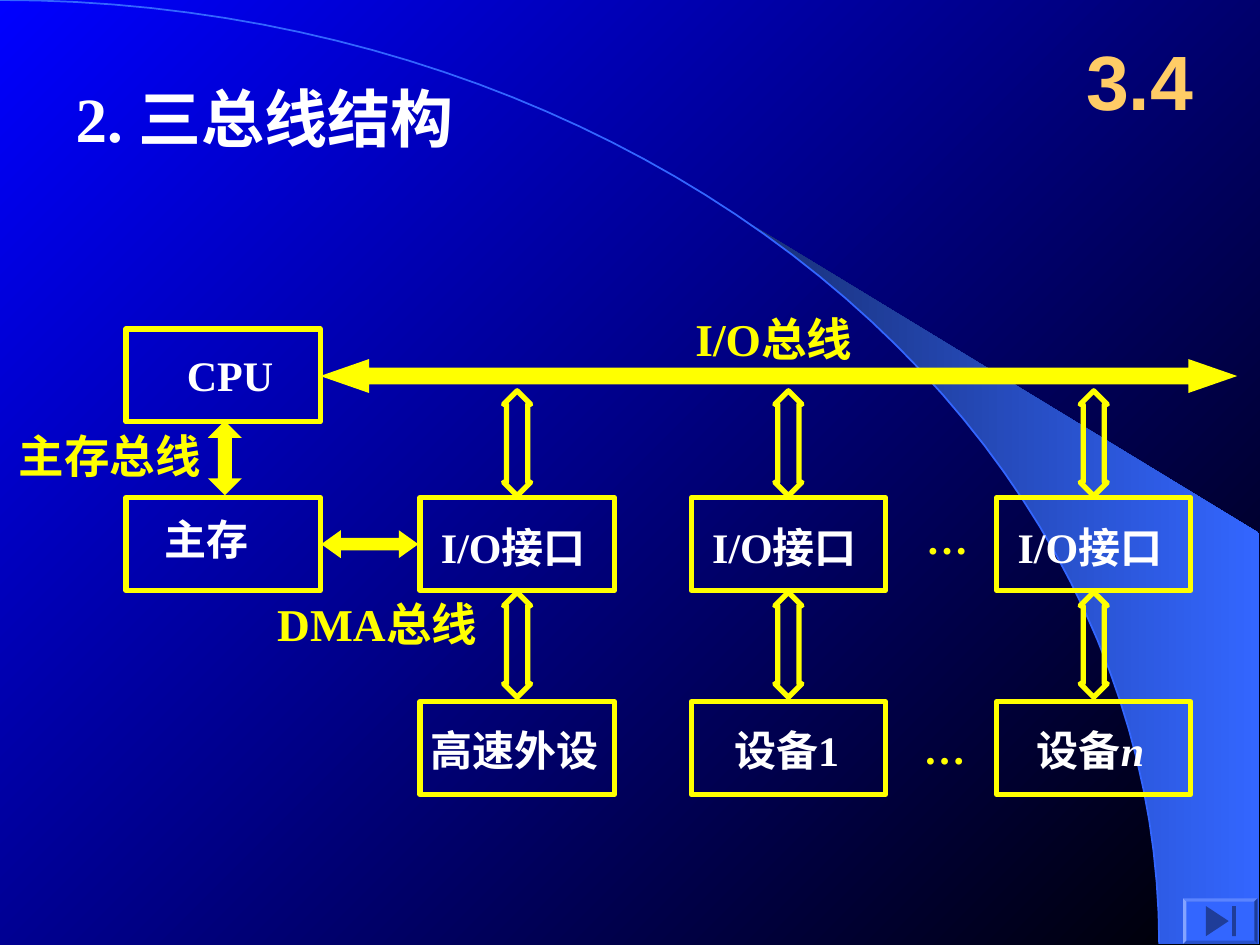
from math import asin, cos, pi, sin

from lxml.etree import SubElement
from pptx import Presentation
from pptx.dml.color import RGBColor
from pptx.enum.shapes import MSO_SHAPE
from pptx.enum.text import MSO_ANCHOR, MSO_AUTO_SIZE, PP_ALIGN
from pptx.oxml.ns import qn
from pptx.util import Pt

YELLOW, WHITE, GOLD = "FFFF00", "FFFFFF", "FFCC66"
BLUE, DARK_BLUE = "3366FF", "1F3D99"
LATIN, CHINESE = "Times New Roman", "Noto Sans CJK SC"
NODE_WIDTH, NODE_HEIGHT = 111, 53
ARC_WIDTH, ARC_HEIGHT = 662.4, 539.3


def rgb(color):
    return RGBColor.from_string(color)


def style(shape, fill=None, line=None, width=3):
    shape.shadow.inherit = False
    if fill:
        shape.fill.solid()
        shape.fill.fore_color.rgb = rgb(fill)
    else:
        shape.fill.background()
    if line:
        shape.line.color.rgb = rgb(line)
        shape.line.width = Pt(width)
    else:
        shape.line.fill.background()
    return shape


def write(shape, *texts, size=24, color=WHITE, font=LATIN, inset=(0, 0),
          align=PP_ALIGN.LEFT, anchor=MSO_ANCHOR.TOP, last_italic=False):
    """Fill a shape with one bold paragraph, one run for each text."""
    frame = shape.text_frame
    frame.word_wrap, frame.auto_size = True, MSO_AUTO_SIZE.NONE
    frame.vertical_anchor = anchor
    frame.margin_left, frame.margin_top = Pt(inset[0]), Pt(inset[1])
    frame.margin_right = frame.margin_bottom = 0
    paragraph = frame.paragraphs[0]
    paragraph.alignment = align
    for text in texts:
        run = paragraph.add_run()
        run.text = text
        run.font.size, run.font.bold, run.font.name = Pt(size), True, font
        run.font.color.rgb = rgb(color)
        SubElement(run.font._element, qn("a:ea"), typeface=CHINESE)
    if last_italic:
        run.font.italic = True


def label(slide, box, text, **text_format):
    write(slide.shapes.add_textbox(*map(Pt, box)), text, **text_format)


def preset(slide, kind, box, adjustments=(), **look):
    shape = slide.shapes.add_shape(kind, *map(Pt, box))
    for index, value in enumerate(adjustments):
        shape.adjustments[index] = value
    return style(shape, **look)


def outline(slide, points, close=True):
    start, *rest = [(Pt(x), Pt(y)) for x, y in points]
    builder = slide.shapes.build_freeform(*start)
    builder.add_line_segments(rest, close=close)
    return builder.convert_to_shape()


def arc_points(start, steps=48):
    """Points on a quarter ellipse from the angle start to the vertical."""
    angles = [start + (pi / 2 - start) * i / steps for i in range(steps + 1)]
    return [(ARC_WIDTH * sin(a), ARC_HEIGHT * (1 - cos(a))) for a in angles]


def shade(fill, first, last, angle):
    fill.gradient()
    fill.gradient_angle = angle
    for stop, color in zip(fill.gradient_stops, (first, last)):
        stop.color.rgb = rgb(color)


def add_backdrop(slide):
    shade(slide.background.fill, "0000FF", "000000", 315)
    right = 719.3
    crescent_arc = arc_points(asin(424 / ARC_WIDTH))
    crescent = style(outline(
        slide, crescent_arc + [(right, ARC_HEIGHT), (right, 304.6)]))
    shade(crescent.fill, "182F76", BLUE, 0)
    style(outline(slide, arc_points(0), close=False), line=BLUE, width=1)


def add_heading(slide):
    title = slide.shapes.title
    title.left, title.top, title.width, title.height = map(
        Pt, (43.2, 45.4, 604.8, 50))
    write(title, "2. 三总线结构", size=36)
    label(slide, (606.2, 12.2, 90, 66.2), "3.4", size=44, color=GOLD,
          font="Arial", align=PP_ALIGN.CENTER, anchor=MSO_ANCHOR.MIDDLE)


def add_node(slide, left, top, *texts, inset, **text_format):
    node = preset(slide, MSO_SHAPE.RECTANGLE,
                  (left, top, NODE_WIDTH, NODE_HEIGHT), line=YELLOW)
    write(node, *texts, inset=inset, **text_format)


def add_device_column(slide, left, *device, inset, last_italic=False):
    """An I/O interface and its device, joined by hollow arrows."""
    arrow_width = 15.5
    arrow_left = left + (NODE_WIDTH - arrow_width) / 2
    for top in (223.3, 338.4):
        preset(slide, MSO_SHAPE.UP_DOWN_ARROW,
               (arrow_left, top, arrow_width, 60), (0.5, 0.78), line=YELLOW)
    add_node(slide, left, 284.4, "I/O接口", inset=(12, 13.7))
    add_node(slide, left, 401, *device, inset=(inset, 13),
             last_italic=last_italic)


def add_buses(slide):
    for kind, box, adjustments in (
            (MSO_SHAPE.UP_DOWN_ARROW, (118.8, 240.5, 19.4, 42.5), (0.5, 0.41)),
            (MSO_SHAPE.LEFT_RIGHT_ARROW, (183.6, 303, 55.5, 16), (0.45, 0.7)),
            (MSO_SHAPE.LEFT_RIGHT_ARROW, (183, 205.2, 524, 19.4), (0.5, 1.44))):
        preset(slide, kind, box, adjustments, fill=YELLOW)
    for text, left, top in (("主存总线", 10.8, 244.8),
                            ("DMA总线", 158.4, 340.6),
                            ("I/O总线", 397.4, 177.8)):
        label(slide, (left, top, 126, 31), text, size=26, color=YELLOW)


def add_diagram(slide):
    add_buses(slide)
    add_node(slide, 72, 188, "CPU", inset=(34.8, 11.5))
    add_node(slide, 72, 284.4, "主存", inset=(22, 9))
    add_device_column(slide, 240, "高速外设", inset=6)
    add_device_column(slide, 395, "设备1", inset=24.5)
    add_device_column(slide, 569.5, "设备", "n", inset=23, last_italic=True)
    for left, top in ((529.2, 293), (527.8, 412.6)):
        label(slide, (left, top, 30, 29), "…", color=YELLOW)


def add_end_button(slide, left, top, width, height):
    preset(slide, MSO_SHAPE.BEVEL, (left, top, width, height), (0.07,),
           fill=BLUE)
    middle = top + height / 2
    triangle = [(left + 13, middle - 8.6), (left + 26, middle),
                (left + 13, middle + 8.6)]
    style(outline(slide, triangle), fill=DARK_BLUE)
    preset(slide, MSO_SHAPE.RECTANGLE, (left + 28, middle - 8.6, 2.2, 17.2),
           fill=DARK_BLUE)


def main():
    presentation = Presentation()
    presentation.slide_width, presentation.slide_height = Pt(720), Pt(540)
    slide = presentation.slides.add_slide(presentation.slide_layouts[5])
    add_backdrop(slide)
    add_heading(slide)
    add_diagram(slide)
    add_end_button(slide, 676.1, 513.4, 42.5, 25.9)
    presentation.save("out.pptx")


if __name__ == "__main__":
    main()
